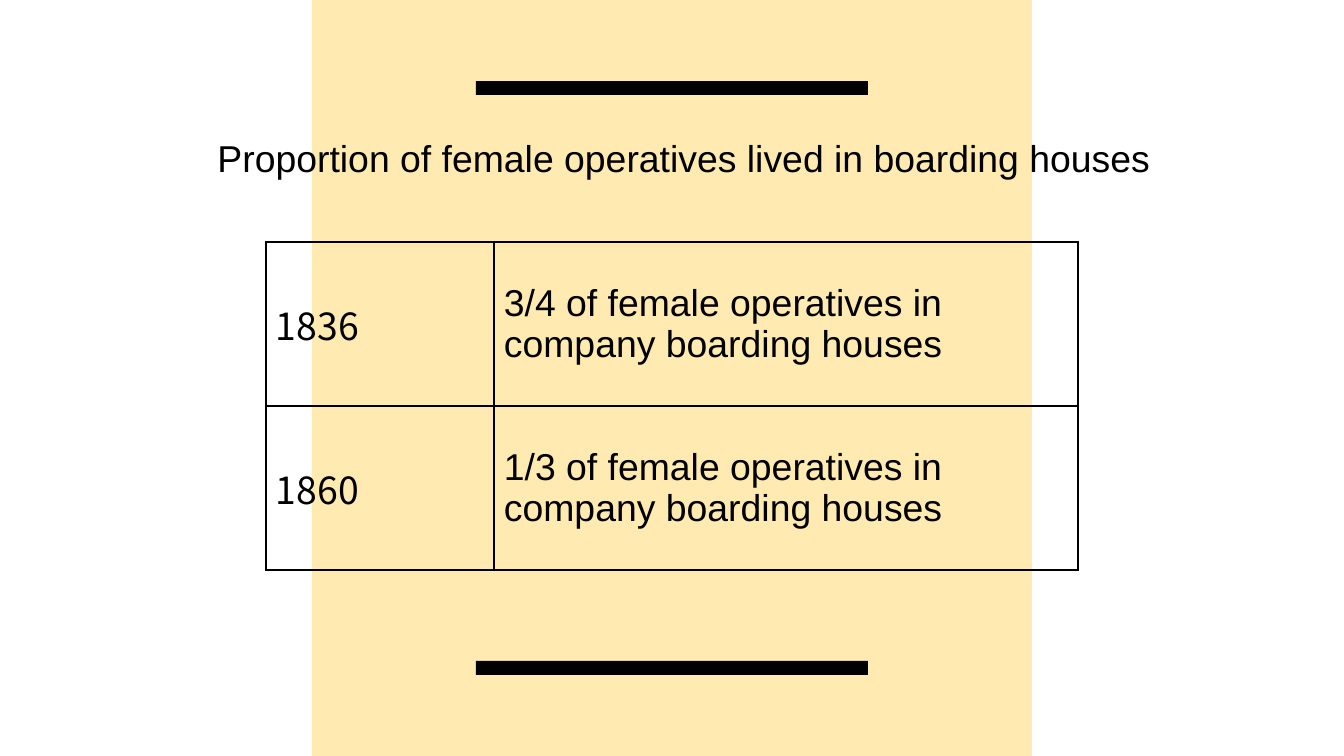
from lxml import etree
from pptx import Presentation
from pptx.dml.color import RGBColor
from pptx.enum.shapes import MSO_SHAPE
from pptx.enum.text import MSO_ANCHOR, PP_ALIGN
from pptx.oxml import parse_xml
from pptx.oxml.ns import nsdecls, qn
from pptx.util import Pt

PX = 914400 / 134.4
THEME = {
    "band": "FFD966",
    "band_alpha": 50,
    "ink": "000000",
    "size": 20,
    "border": 1,
    "body_font": "Arial",
    "year_font": "Noto Sans CJK SC",
}
ROWS = [
    ("1836", "3/4 of female operatives in company boarding houses"),
    ("1860", "1/3 of female operatives in company boarding houses"),
]


def px(*lengths):
    """Turn pixel lengths into a list of EMU."""
    return [round(length * PX) for length in lengths]


def write(frame, text, font_name):
    paragraph = frame.paragraphs[0]
    paragraph.alignment = PP_ALIGN.LEFT
    run = paragraph.add_run()
    run.text = text
    formats = {"name": font_name, "size": Pt(THEME["size"]), "bold": False}
    for name, value in formats.items():
        setattr(run.font, name, value)
    run.font.color.rgb = RGBColor.from_string(THEME["ink"])


presentation = Presentation()
presentation.slide_width, presentation.slide_height = px(1344, 756)
slide = presentation.slides.add_slide(presentation.slide_layouts[5])

# Vertical band with a black bar near its top and bottom
rectangles = [
    ((312, 0, 720, 756), THEME["band"], THEME["band_alpha"]),
    ((476, 81, 392, 14), THEME["ink"], 100),
    ((476, 661, 392, 14), THEME["ink"], 100),
]
for box, color, opacity in rectangles:
    shape = slide.shapes.add_shape(MSO_SHAPE.RECTANGLE, *px(*box))
    shape.shadow.inherit = False
    shape.line.fill.background()
    shape.fill.solid()
    shape.fill.fore_color.rgb = RGBColor.from_string(color)
    if opacity < 100:
        color_element = next(shape.element.spPr.iter(qn("a:srgbClr")))
        etree.SubElement(color_element, qn("a:alpha"), val=str(opacity * 1000))

# Title, raised above the band
title = slide.shapes.title
title.left, title.top, title.width, title.height = px(204, 128, 1078, 59)
title.element.getparent().append(title.element)
title.text_frame.word_wrap = True
title.text_frame.vertical_anchor = MSO_ANCHOR.TOP
write(title.text_frame, "Proportion of female operatives lived in boarding houses", THEME["body_font"])

# Table of years and proportions
table = slide.shapes.add_table(len(ROWS), 2, *px(266, 242, 812, 328)).table
table.first_row = table.horz_banding = False
for column, width in zip(table.columns, px(228, 584)):
    column.width = width
for row in table.rows:
    row.height = px(164)[0]

inset = px(10)[0]
cell_formats = {
    "vertical_anchor": MSO_ANCHOR.MIDDLE,
    "margin_left": inset,
    "margin_right": inset,
    "margin_top": 0,
    "margin_bottom": 0,
}
for row, texts in zip(table.rows, ROWS):
    for cell, text, font_name in zip(row.cells, texts, (THEME["year_font"], THEME["body_font"])):
        write(cell.text_frame, text, font_name)
        for name, value in cell_formats.items():
            setattr(cell, name, value)
        properties = cell._tc.get_or_add_tcPr()
        for side in "LRTB":
            properties.append(parse_xml(
                f'<a:ln{side} {nsdecls("a")} w="{Pt(THEME["border"])}"><a:solidFill>'
                f'<a:srgbClr val="{THEME["ink"]}"/></a:solidFill></a:ln{side}>'
            ))
        cell.fill.background()

presentation.save("out.pptx")
